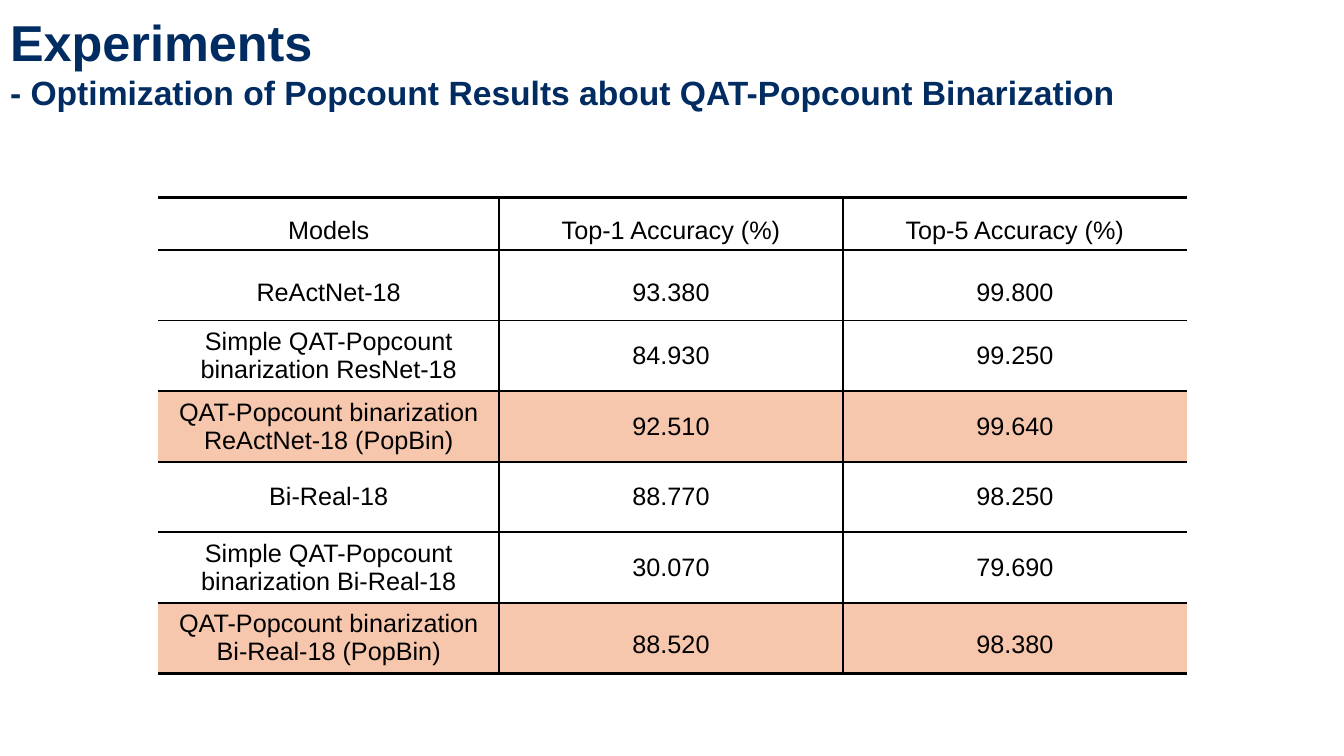
from lxml import etree
from pptx import Presentation
from pptx import util as u
from pptx.dml import color
from pptx.enum import text
from pptx.oxml import ns

PX = 9144
FONT = "Arial"
NAVY, BLACK, PEACH = "002C62", "000000", "F6C6AD"
NO_STYLE = "{2D5ABB26-0587-4C30-8999-92F81FD0307C}"
COLUMN_WIDTHS = [338, 341, 341]
ROW_HEIGHTS = [37] + [70] * 6
RESULTS = [
    ("Models", "Top-1 Accuracy (%)", "Top-5 Accuracy (%)"),
    ("ReActNet-18", "93.380", "99.800"),
    ("Simple QAT-Popcount binarization ResNet-18", "84.930", "99.250"),
    ("QAT-Popcount binarization\nReActNet-18 (PopBin)", "92.510", "99.640"),
    ("Bi-Real-18", "88.770", "98.250"),
    ("Simple QAT-Popcount binarization Bi-Real-18", "30.070", "79.690"),
    ("QAT-Popcount binarization\nBi-Real-18 (PopBin)", "88.520", "98.380"),
]


def px(length):
    return u.Emu(length * PX)


def rgb(value):
    return color.RGBColor.from_string(value)


def add_line(frame, first, wording, size, ink, bold, align, spacing=None):
    line = frame.paragraphs[0] if first else frame.add_paragraph()
    line.alignment = align
    if spacing:
        line.line_spacing = spacing
    run = line.add_run()
    run.text = wording
    run.font.name = FONT
    run.font.size = u.Pt(size)
    run.font.bold = bold
    run.font.color.rgb = rgb(ink)


def add_heading(slide):
    heading = slide.shapes.title
    heading.left, heading.top = px(0), px(0)
    heading.width, heading.height = px(1333), px(122)
    frame = heading.text_frame
    frame.word_wrap = True
    frame.auto_size = text.MSO_AUTO_SIZE.NONE
    frame.vertical_anchor = text.MSO_ANCHOR.MIDDLE
    subject = "- Optimization of Popcount Results about QAT-Popcount Binarization"
    left = text.PP_ALIGN.LEFT
    add_line(frame, True, "Experiments", 36, NAVY, True, left)
    add_line(frame, False, subject, 24, NAVY, True, left)


def set_border(cell, side, points):
    properties = cell._tc.get_or_add_tcPr()
    border = etree.SubElement(properties, ns.qn(f"a:ln{side}"))
    if not points:
        etree.SubElement(border, ns.qn("a:noFill"))
        return
    border.set("w", str(u.Pt(points)))
    fill = etree.SubElement(border, ns.qn("a:solidFill"))
    etree.SubElement(fill, ns.qn("a:srgbClr")).set("val", BLACK)


def fill_cell(cell, wording, row, column):
    last_row, last_column = len(RESULTS) - 1, len(COLUMN_WIDTHS) - 1
    set_border(cell, "L", 1.5 if column > 0 else 0)
    set_border(cell, "R", 1.5 if column < last_column else 0)
    set_border(cell, "T", 2.25 if row == 0 else 1.5)
    set_border(cell, "B", 2.25 if row == last_row else 1.5)
    if "PopBin" in RESULTS[row][0]:
        cell.fill.solid()
        cell.fill.fore_color.rgb = rgb(PEACH)
    else:
        cell.fill.background()
    cell.vertical_anchor = text.MSO_ANCHOR.MIDDLE
    loose = row < 2 or (row == last_row and column > 0)
    for index, part in enumerate(wording.split("\n")):
        add_line(cell.text_frame, index == 0, part, 18, BLACK, False,
                 text.PP_ALIGN.CENTER, 1.5 if loose else None)


def add_results(slide):
    results = slide.shapes.add_table(
        len(RESULTS), len(COLUMN_WIDTHS), px(157), px(196),
        px(sum(COLUMN_WIDTHS)), px(sum(ROW_HEIGHTS))).table
    results.first_row = False
    results.horz_banding = False
    results._tbl.tblPr.find(ns.qn("a:tableStyleId")).text = NO_STYLE
    for column, width in zip(results.columns, COLUMN_WIDTHS):
        column.width = px(width)
    for row, height in zip(results.rows, ROW_HEIGHTS):
        row.height = px(height)
    for row, record in enumerate(RESULTS):
        for column, wording in enumerate(record):
            fill_cell(results.cell(row, column), wording, row, column)


def main():
    deck = Presentation()
    deck.slide_width, deck.slide_height = px(1333), px(750)
    slide = deck.slides.add_slide(deck.slide_layouts[5])
    add_results(slide)
    add_heading(slide)
    deck.save("out.pptx")


if __name__ == "__main__":
    main()
